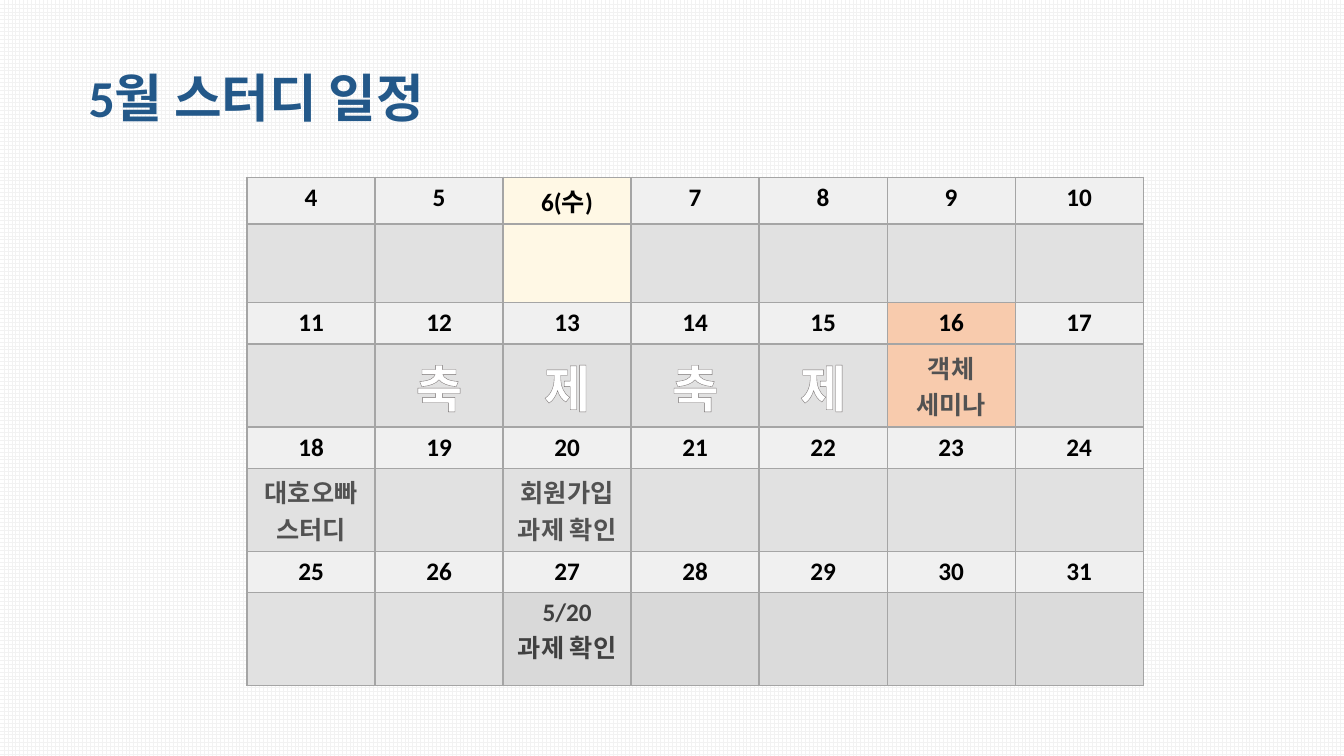
"""Build the May study schedule slide with its four-week calendar."""
from dataclasses import dataclass

from lxml import etree
from pptx import Presentation
from pptx import util as u
from pptx.dml import color
from pptx.enum import dml, text
from pptx.oxml import ns

FONT = "Calibri"
COLORS = {
    "title": "235889", "date": "000000", "note": "525252", "check": "404040",
    "festival": "FFFFFF", "outline": "767171", "border": "A5A5A5",
    "date_fill": "F0F0F0", "note_fill": "E1E1E1", "today": "FFF8E5",
    "seminar": "F8CBAD", "check_fill": "D9D9D9", "late_fill": "DBDBDB",
    "grid": "F2F2F2", "paper": "FFFFFF",
}
FIRST_DAY, WEEK_DAYS = 4, 7
NOTE_HEIGHTS = (0.78, 0.79, 0.8, 0.92)
DATE_HEIGHT = 0.41


@dataclass(frozen=True)
class Day:
    """Content and colours of one calendar day."""
    label: str = ""
    notes: tuple[str, ...] = ()
    ink: str = "note"
    size: float = 18
    date_fill: str = "date_fill"
    note_fill: str = "note_fill"
    outlined: bool = False


def festival(syllable: str) -> Day:
    """Return a festival day showing one large outlined syllable."""
    return Day(notes=(syllable,), ink="festival", size=36, outlined=True)


SPECIAL_DAYS = {
    6: Day(label="6(수)", date_fill="today", note_fill="today"),
    **{12 + i: festival(syllable) for i, syllable in enumerate("축제축제")},
    16: Day(notes=("객체", "세미나"), date_fill="seminar", note_fill="seminar"),
    18: Day(notes=("대호오빠", "스터디")),
    20: Day(notes=("회원가입", "과제 확인")),
    27: Day(notes=("5/20", "과제 확인"), ink="check", note_fill="check_fill"),
    28: Day(note_fill="check_fill"),
    **{number: Day(note_fill="late_fill") for number in (29, 30, 31)},
}


def rgb(name: str) -> color.RGBColor:
    """Return a named colour."""
    return color.RGBColor.from_string(COLORS[name])


def add_line(parent, tag: str, index: int, name: str, width: float) -> None:
    """Insert a solid line element among the parent's children."""
    line = etree.Element(ns.qn(tag), w=str(u.Pt(width)))
    fill = etree.SubElement(line, ns.qn("a:solidFill"))
    etree.SubElement(fill, ns.qn("a:srgbClr"), val=COLORS[name])
    parent.insert(index, line)


def add_run(paragraph, words: str, size: float, ink: str, outlined: bool = False) -> None:
    """Add a bold run, with an outline if wanted."""
    run = paragraph.add_run()
    run.text = words
    run.font.name, run.font.size, run.font.bold = FONT, u.Pt(size), True
    run.font.color.rgb = rgb(ink)
    if outlined:
        add_line(run.font._element, "a:ln", 0, "outline", 0.75)


def fill_cell(cell, lines: tuple[str, ...], fill: str, ink: str,
              size: float = 18, outlined: bool = False) -> None:
    """Write centred lines in a cell and set its fill and borders."""
    cell.fill.solid()
    cell.fill.fore_color.rgb = rgb(fill)
    for index, side in enumerate("LRTB"):
        add_line(cell._tc.get_or_add_tcPr(), f"a:ln{side}", index, "border", 1)
    for index, line in enumerate(lines):
        frame = cell.text_frame
        paragraph = frame.add_paragraph() if index else frame.paragraphs[0]
        paragraph.alignment = text.PP_ALIGN.CENTER
        add_run(paragraph, line, size, ink, outlined)


def add_title(slide) -> None:
    """Place and format the slide title."""
    title = slide.shapes.title
    title.left, title.top = u.Inches(0.78), u.Inches(0.28)
    title.width, title.height = u.Inches(4.45), u.Inches(1.05)
    frame = title.text_frame
    frame.auto_size = text.MSO_AUTO_SIZE.NONE
    frame.vertical_anchor = text.MSO_ANCHOR.BOTTOM
    heading = frame.paragraphs[0]
    heading.alignment, heading.line_spacing = text.PP_ALIGN.LEFT, 0.9
    add_run(heading, "5월 스터디 일정", 37, "title")


def add_calendar(slide) -> None:
    """Add the calendar, with a date row and a note row for each week."""
    calendar = slide.shapes.add_table(
        2 * len(NOTE_HEIGHTS), WEEK_DAYS,
        u.Inches(2.45), u.Inches(1.76), u.Inches(8.89), u.Inches(4.91)).table
    calendar.first_row = calendar.horz_banding = False
    for week, note_height in enumerate(NOTE_HEIGHTS):
        date_row, note_row = 2 * week, 2 * week + 1
        calendar.rows[date_row].height = u.Inches(DATE_HEIGHT)
        calendar.rows[note_row].height = u.Inches(note_height)
        for weekday in range(WEEK_DAYS):
            number = FIRST_DAY + week * WEEK_DAYS + weekday
            day = SPECIAL_DAYS.get(number, Day())
            fill_cell(calendar.cell(date_row, weekday),
                      (day.label or str(number),), day.date_fill, "date")
            fill_cell(calendar.cell(note_row, weekday), day.notes,
                      day.note_fill, day.ink, day.size, day.outlined)


def main() -> None:
    """Create and save the presentation."""
    deck = Presentation()
    deck.slide_width, deck.slide_height = u.Inches(13.33), u.Inches(7.5)
    slide = deck.slides.add_slide(deck.slide_layouts[5])
    backdrop = slide.background.fill
    backdrop.patterned()
    backdrop.pattern = dml.MSO_PATTERN.LARGE_GRID
    backdrop.fore_color.rgb, backdrop.back_color.rgb = rgb("grid"), rgb("paper")
    add_title(slide)
    add_calendar(slide)
    deck.save("out.pptx")


main()
